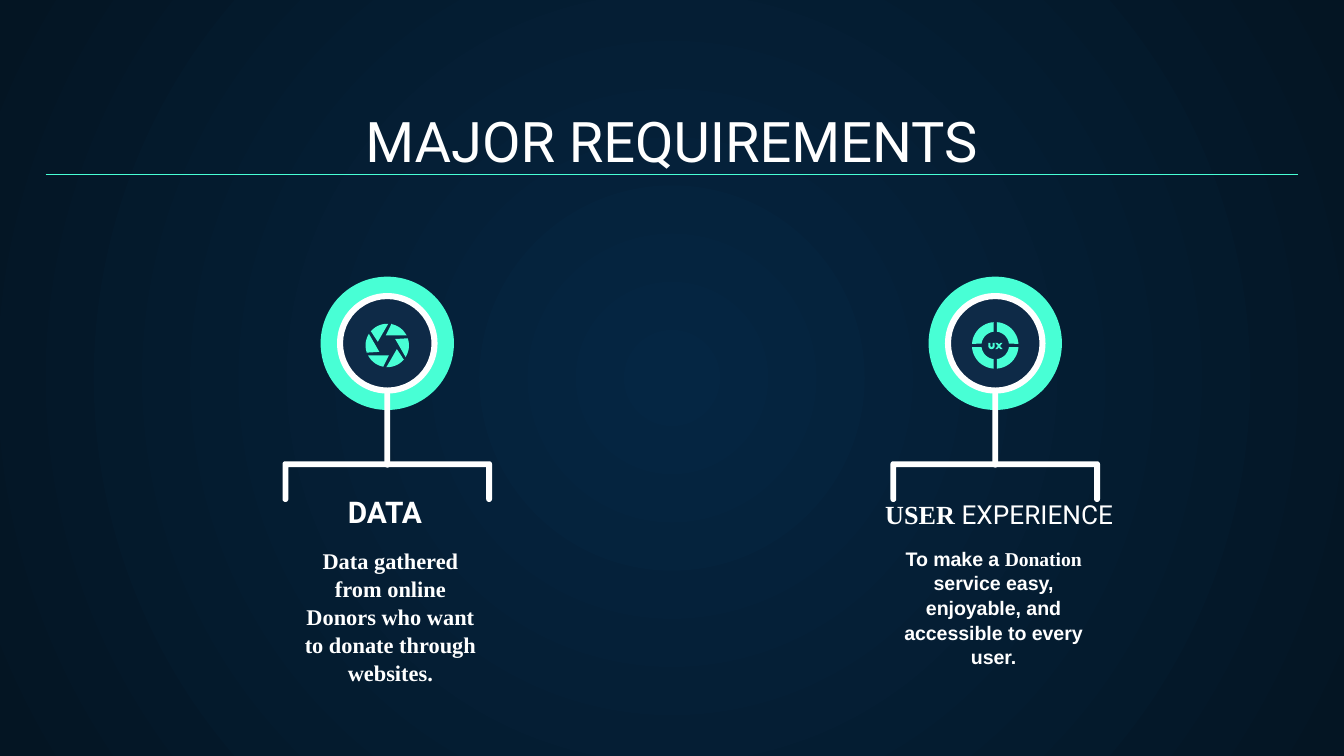
from dataclasses import dataclass
from math import cos, radians, sin

from lxml.etree import SubElement
from pptx import Presentation
from pptx.dml.color import RGBColor
from pptx.enum.shapes import MSO_CONNECTOR as Connector, MSO_SHAPE as Shape
from pptx.enum.text import MSO_ANCHOR as Anchor, MSO_AUTO_SIZE as AutoSize, PP_ALIGN as Align
from pptx.oxml.ns import qn
from pptx.util import Cm, Pt

Point = tuple[float, float]

COLORS = {
    "glow": "052643",
    "night": "041523",
    "mint": "48FFD5",
    "navy": "0E2A47",
    "white": "FFFFFF",
}
SERIF, SANS, DISPLAY = "Times New Roman", "Arial", "Roboto"
BADGE_Y, ICON_Y = 6.49, 6.53
STROKE = 0.11


@dataclass
class Span:
    text: str
    font: str
    size: float
    bold: bool = True


@dataclass
class Frame:
    left: float
    top: float
    width: float
    height: float


@dataclass
class Requirement:
    center: float
    heading: list[Span]
    heading_frame: Frame
    body: list[Span]
    body_frame: Frame


REQUIREMENTS = [
    Requirement(
        7.32,
        [Span("DATA", DISPLAY, 16)],
        Frame(4.39, 9.73, 5.77, 0.53),
        [Span("Data gathered from online Donors who want to donate through websites.", SERIF, 12)],
        Frame(5.49, 10.06, 3.78, 2.57),
    ),
    Requirement(
        18.81,
        [Span("USER", SERIF, 14), Span(" EXPERIENCE", DISPLAY, 14, False)],
        Frame(16, 9.73, 5.77, 0.53),
        [
            Span("To make a ", SANS, 10.5),
            Span("Donation", SERIF, 10.5),
            Span(" service easy, enjoyable, and accessible to every user.", SANS, 10.5),
        ],
        Frame(16.81, 10.06, 3.94, 2.16),
    ),
]


def rgb(name: str) -> RGBColor:
    return RGBColor.from_string(COLORS[name])


def paint(shape, color: str) -> None:
    shape.shadow.inherit = False
    shape.fill.solid()
    shape.fill.fore_color.rgb = rgb(color)
    shape.line.fill.background()


def arc(x: float, y: float, radius: float, start: float, end: float, steps: int = 12) -> list[Point]:
    angles = [radians(start + (end - start) * step / steps) for step in range(steps + 1)]
    return [(x + radius * cos(angle), y + radius * sin(angle)) for angle in angles]


def rotate(points: list[Point], degrees: float) -> list[Point]:
    turn = radians(degrees)
    return [(x * cos(turn) - y * sin(turn), x * sin(turn) + y * cos(turn)) for x, y in points]


def add_outline(shapes, x: float, y: float, points: list[Point], color: str) -> None:
    corners = [(Cm(x + dx), Cm(y + dy)) for dx, dy in points]
    builder = shapes.build_freeform(*corners[0])
    builder.add_line_segments(corners[1:], close=True)
    paint(builder.convert_to_shape(), color)


def add_round(page, kind: Shape, center: float, radius: float, color: str):
    side = Cm(2 * radius)
    shape = page.shapes.add_shape(kind, Cm(center - radius), Cm(BADGE_Y - radius), side, side)
    paint(shape, color)
    return shape


def add_bracket(page, center: float) -> None:
    bend = STROKE / 2
    side, drop, inner = 1.98 - bend, 0.77 - bend, 1.98 - STROKE
    points = (
        arc(-side, bend, bend, 180, 270)
        + arc(side, bend, bend, 270, 360)
        + arc(side, drop, bend, 0, 180)
        + [(inner, STROKE), (-inner, STROKE)]
        + arc(-side, drop, bend, 0, 180)
    )
    add_outline(page.shapes, center, 8.72, points, "white")


def add_badge(page, center: float) -> None:
    add_bracket(page, center)
    add_round(page, Shape.OVAL, center, 1.26, "mint")
    stem = page.shapes.add_shape(
        Shape.ROUNDED_RECTANGLE, Cm(center - STROKE / 2), Cm(6.29), Cm(STROKE), Cm(2.55)
    )
    stem.adjustments[0] = 0.5
    paint(stem, "white")
    add_round(page, Shape.OVAL, center, 0.89, "navy")
    ring = add_round(page, Shape.DONUT, center, 0.95, "white")
    ring.adjustments[0] = 0.06


def add_shutter_icon(page, center: float) -> None:
    icon = page.shapes.add_group_shape().shapes
    blade = [(0.08, -0.41), (-0.03, -0.19), (0.36, -0.19)] + arc(0, 0, 0.41, -27, -79)
    for turn in range(0, 360, 60):
        add_outline(icon, center, ICON_Y, rotate(blade, turn), "mint")


def add_ux_icon(page, center: float) -> None:
    icon = page.shapes.add_group_shape().shapes
    quarter = arc(0, 0, 0.44, 4, 86) + arc(0, 0, 0.26, 83, 7)
    for turn in range(0, 360, 90):
        add_outline(icon, center, ICON_Y, rotate(quarter, turn), "mint")
    letter_u = [(-0.13, -0.05)] + arc(-0.07, 0.01, 0.06, 180, 0) + [(-0.01, -0.05), (-0.05, -0.05)]
    letter_u += arc(-0.07, 0.01, 0.02, 0, 180) + [(-0.09, -0.05)]
    half_x = [(0, -0.05), (0.04, -0.05), (0.07, -0.02), (0.1, -0.05), (0.14, -0.05), (0.09, 0.01)]
    letter_x = half_x + [(0.14 - x, 0.02 - y) for x, y in half_x]
    for letter in (letter_u, letter_x):
        add_outline(icon, center, ICON_Y, letter, "mint")


def write(box, frame: Frame, spans: list[Span], anchor: Anchor, spacing: float = 1) -> None:
    box.left, box.top = Cm(frame.left), Cm(frame.top)
    box.width, box.height = Cm(frame.width), Cm(frame.height)
    text = box.text_frame
    text.word_wrap = True
    text.auto_size = AutoSize.NONE
    text.vertical_anchor = anchor
    text.margin_left = text.margin_right = text.margin_top = text.margin_bottom = Cm(0.25)
    para = text.paragraphs[0]
    para.alignment = Align.CENTER
    para.line_spacing = spacing
    for span in spans:
        run = para.add_run()
        run.text = span.text
        run.font.name = span.font
        run.font.size = Pt(span.size)
        run.font.bold = span.bold
        run.font.color.rgb = rgb("white")


def add_text(page, frame: Frame, spans: list[Span], anchor: Anchor, spacing: float = 1) -> None:
    write(page.shapes.add_textbox(0, 0, 0, 0), frame, spans, anchor, spacing)


def fill_background(page) -> None:
    fill = page.background.fill
    fill.gradient()
    for stop, color, position in zip(fill.gradient_stops, ("glow", "night"), (0, 1)):
        stop.color.rgb = rgb(color)
        stop.position = position
    gradient = page.element.find(".//" + qn("a:gradFill"))
    gradient.remove(gradient.find(qn("a:lin")))
    circle = SubElement(gradient, qn("a:path"), {"path": "circle"})
    SubElement(circle, qn("a:fillToRect"), {edge: "50000" for edge in "ltrb"})


def add_rule(page) -> None:
    rule = page.shapes.add_connector(Connector.STRAIGHT, Cm(0.86), Cm(3.3), Cm(24.54), Cm(3.3))
    rule.line.color.rgb = rgb("mint")
    rule.line.width = Pt(0.75)
    SubElement(rule.element.spPr, qn("a:effectLst"))


def main() -> None:
    deck = Presentation()
    deck.slide_width, deck.slide_height = Cm(25.4), Cm(14.29)
    page = deck.slides.add_slide(deck.slide_layouts[5])
    fill_background(page)
    title = page.shapes.title
    title_spans = [Span("MAJOR REQUIREMENTS", DISPLAY, 30, False)]
    write(title, Frame(0.86, 1.78, 23.67, 1.68), title_spans, Anchor.BOTTOM)
    title.text_frame.margin_bottom = Cm(0.17)
    for item, add_icon in zip(REQUIREMENTS, (add_shutter_icon, add_ux_icon)):
        add_text(page, item.body_frame, item.body, Anchor.TOP, 1.05)
        add_text(page, item.heading_frame, item.heading, Anchor.BOTTOM)
        add_badge(page, item.center)
        add_icon(page, item.center)
    add_rule(page)
    deck.save("out.pptx")


if __name__ == "__main__":
    main()
